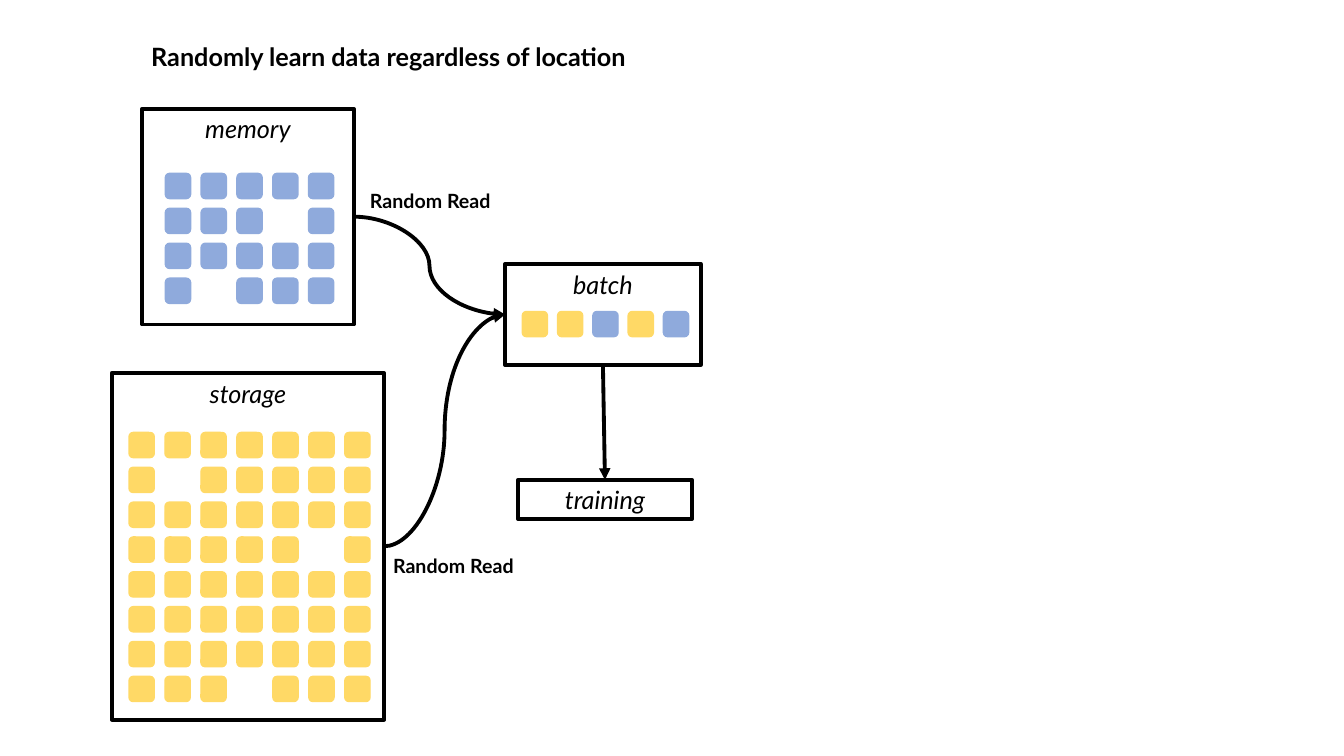
"""Build a slide showing random reads from memory and storage into a training batch."""
from pptx import Presentation
from pptx.dml.color import RGBColor
from pptx.enum import shapes, text
from pptx.oxml import ns, xmlchemy
from pptx.util import Inches, Pt

FONT = "Lato"
BLACK, BLUE, YELLOW = "000000", "8FAADC", "FFD966"
CELL_COLORS = {"B": BLUE, "Y": YELLOW}
CELL = 0.25

TITLE = ("Randomly learn data regardless of location", 1.4, 0.36, 5.91, 0.4)
BOXES = [
    ("memory", 1.41, 1.08, 2.1, 2.14, 2.75),
    ("storage", 1.11, 3.7, 2.7, 3.44, 2.75),
    ("batch", 5.01, 2.62, 1.94, 1, 3),
    ("training", 5.14, 4.76, 1.72, 0.39, 3),
]
LABELS = [("Random Read", 3.57, 1.83), ("Random Read", 3.8, 5.45)]
LABEL_SIZE = (2.68, 0.57)

# Each grid: left and top of its first cell, left and top of its last cell, rows.
GRIDS = [
    (1.64, 1.72, 3.06, 2.76, ["BBBBB", "BBB B", "BBBBB", "B BBB"]),
    (1.28, 4.29, 3.42, 6.71, ["YYYYYYY", "Y YYYYY", "YYYYYYY", "YYYYY Y",
                              "YYYYYYY", "YYYYYYY", "YYYYYYY", "YYY YYY"]),
    (5.18, 3.09, 6.58, 3.09, ["YYBYB"]),
]

TOP, LEFT, BOTTOM, RIGHT = range(4)
CURVE, STRAIGHT = shapes.MSO_CONNECTOR.CURVE, shapes.MSO_CONNECTOR.STRAIGHT
ARROWS = [
    (CURVE, "memory", RIGHT, "batch", LEFT),
    (CURVE, "storage", RIGHT, "batch", LEFT),
    (STRAIGHT, "batch", BOTTOM, "training", TOP),
]


def rgb(color):
    return RGBColor.from_string(color)


def write(sp, words, size, align=text.PP_ALIGN.LEFT, bold=False, italic=False):
    tf = sp.text_frame
    tf.text = words
    tf.word_wrap = True
    tf.vertical_anchor = text.MSO_ANCHOR.TOP
    p = tf.paragraphs[0]
    p.alignment = align
    p.line_spacing = 1.0
    p.space_before = Pt(0)
    p.font.name, p.font.size = FONT, Pt(size)
    p.font.bold, p.font.italic = bold, italic
    p.font.color.rgb = rgb(BLACK)


def add_block(s, kind, place, line, width, fill=None):
    sp = s.shapes.add_shape(kind, *map(Inches, place))
    sp.shadow.inherit = False
    if fill:
        sp.fill.solid()
        sp.fill.fore_color.rgb = rgb(fill)
    else:
        sp.fill.background()
    sp.line.color.rgb = rgb(line)
    sp.line.width = Pt(width)
    return sp


def add_grid(s, left, top, right, bottom, rows):
    dx = (right - left) / (len(rows[0]) - 1)
    dy = (bottom - top) / max(len(rows) - 1, 1)
    for i, row in enumerate(rows):
        for j, mark in enumerate(row):
            if mark in CELL_COLORS:
                color = CELL_COLORS[mark]
                place = (left + j * dx, top + i * dy, CELL, CELL)
                add_block(s, shapes.MSO_SHAPE.ROUNDED_RECTANGLE, place, color, 1, color)


def add_arrow(s, kind, start, start_site, end, end_site):
    arrow = s.shapes.add_connector(kind, 0, 0, 0, 0)
    arrow.begin_connect(start, start_site)
    arrow.end_connect(end, end_site)
    arrow.line.color.rgb = rgb(BLACK)
    arrow.line.width = Pt(2.75)
    tail = xmlchemy.OxmlElement("a:tailEnd")
    tail.set("type", "triangle")
    sp_pr = arrow._element.spPr
    sp_pr.find(ns.qn("a:ln")).append(tail)
    sp_pr.append(xmlchemy.OxmlElement("a:effectLst"))


def main():
    prs = Presentation()
    prs.slide_width, prs.slide_height = Inches(13.33), Inches(7.5)
    s = prs.slides.add_slide(prs.slide_layouts[5])

    words, *place = TITLE
    title = s.shapes.title
    title.left, title.top, title.width, title.height = map(Inches, place)
    write(title, words, 18, bold=True)

    boxes = {}
    for name, *place, width in BOXES:
        boxes[name] = add_block(s, shapes.MSO_SHAPE.RECTANGLE, place, BLACK, width)
        write(boxes[name], name, 18, text.PP_ALIGN.CENTER, italic=True)
    for grid in GRIDS:
        add_grid(s, *grid)
    for kind, start, start_site, end, end_site in ARROWS:
        add_arrow(s, kind, boxes[start], start_site, boxes[end], end_site)
    for words, left, top in LABELS:
        label = s.shapes.add_textbox(*map(Inches, (left, top, *LABEL_SIZE)))
        write(label, words, 14, bold=True)

    prs.save("out.pptx")


if __name__ == "__main__":
    main()
